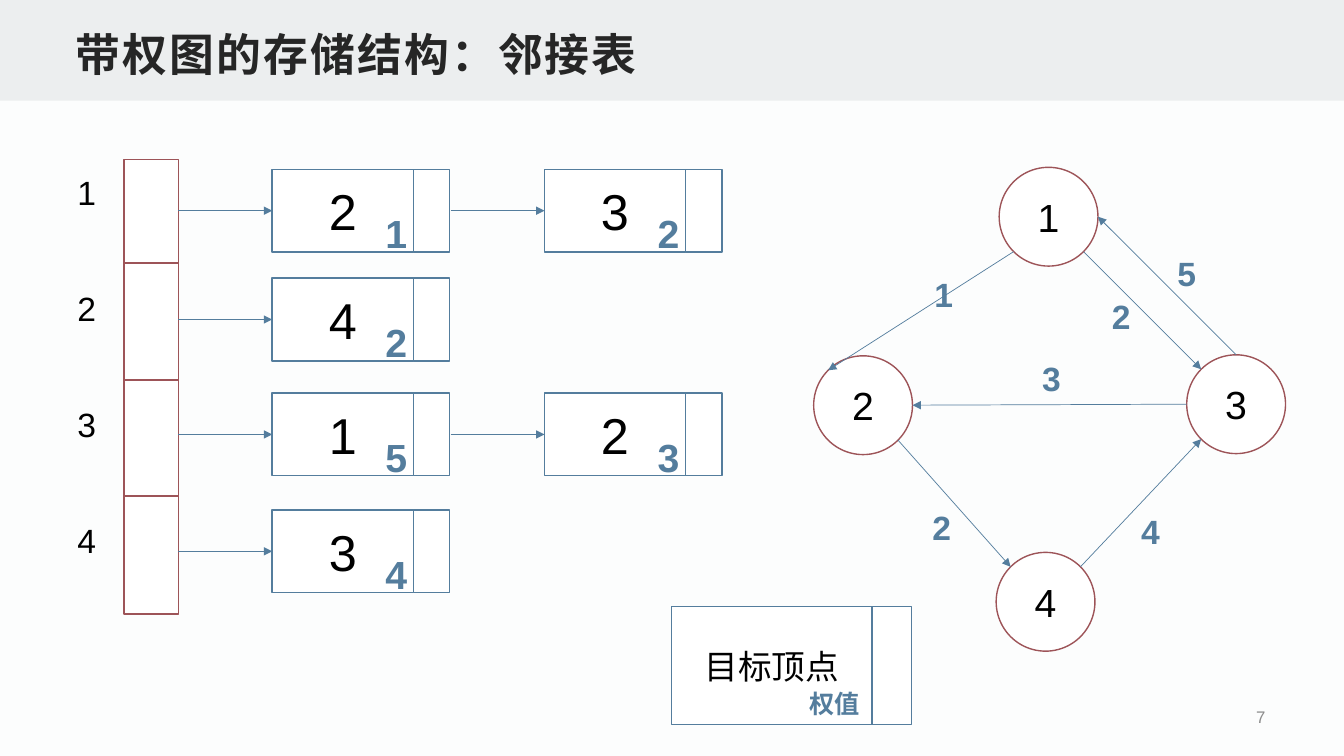
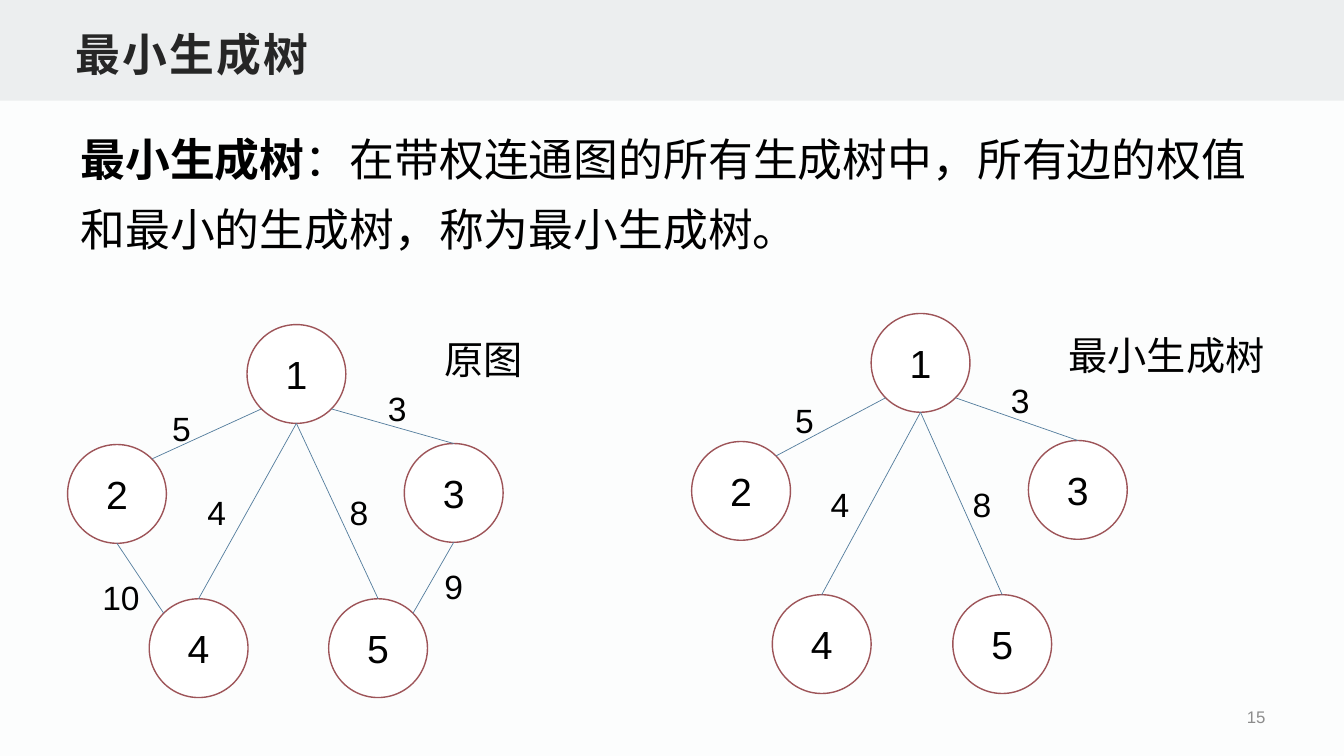
from math import cos, pi, sin
from typing import NamedTuple

from lxml import etree
from pptx import Presentation
from pptx.dml.color import RGBColor
from pptx.enum.shapes import MSO_CONNECTOR, MSO_SHAPE
from pptx.enum.text import MSO_ANCHOR, MSO_AUTO_SIZE, PP_ALIGN
from pptx.oxml.ns import qn
from pptx.shapes.autoshape import Shape
from pptx.slide import Slide
from pptx.util import Inches, Pt

COLORS = {
    "page": "FCFDFD",
    "band": "ECEEEF",
    "title": "262626",
    "number": "8C8C8C",
    "text": "000000",
    "white": "FFFFFF",
    "red": "9D5458",
    "blue": "547D9D",
}
FONT = "Arial"
NODE = 0.98
CELL_W, CELL_H, LINK_W = 1.4, 0.82, 0.36
CELL_X, CELL_STEP = 2.7, 2.7

# Connection sites of a circle, in eighths of a turn anticlockwise from the top
TOP, LEFT, SW, BOTTOM, SE, RIGHT, NE, NW = 0, 2, 3, 4, 5, 6, 7, 1


class Node(NamedTuple):
    x: float
    y: float


class Edge(NamedTuple):
    start: int
    out: int
    end: int
    into: int
    weight: str
    x: float  # centre of the weight
    y: float  # top of the weight


class Item(NamedTuple):
    target: str
    weight: str


class Row(NamedTuple):
    top: float
    items: list[Item]


ROWS = [
    Row(1.68, [Item("2", "1"), Item("3", "2")]),
    Row(2.76, [Item("4", "2")]),
    Row(3.9, [Item("1", "5"), Item("2", "3")]),
    Row(5.06, [Item("3", "4")]),
]
SLOTS = [1.58, 2.61, 3.77, 4.92, 6.09]

DIGRAPH = [Node(9.91, 1.66), Node(8.07, 3.53), Node(11.77, 3.52), Node(9.88, 5.48)]
ARCS = [
    Edge(1, SW, 2, NW, "1", 9.36, 2.67),
    Edge(1, SE, 3, NW, "2", 11.12, 2.89),
    Edge(4, NE, 3, SW, "4", 11.41, 5.02),
    Edge(3, LEFT, 2, RIGHT, "3", 10.43, 3.5),
    Edge(3, TOP, 1, RIGHT, "5", 11.77, 2.46),
    Edge(2, SE, 4, NW, "2", 9.34, 4.98),
]

FULL = [Node(2.45, 3.22), Node(0.67, 4.41), Node(4.01, 4.4),
        Node(1.48, 5.94), Node(3.26, 5.94)]
TREE = [Node(8.64, 3.11), Node(6.86, 4.38), Node(10.2, 4.37),
        Node(7.66, 5.9), Node(9.45, 5.9)]
LINKS = [
    Edge(1, SW, 2, NE, "5", 1.8, 4),
    Edge(1, SE, 3, TOP, "3", 3.94, 3.8),
    Edge(4, TOP, 1, BOTTOM, "4", 2.15, 4.83),
    Edge(1, BOTTOM, 5, TOP, "8", 3.56, 4.83),
]
EXTRA = [
    Edge(2, BOTTOM, 4, NW, "10", 1.2, 5.67),
    Edge(3, BOTTOM, 5, NE, "9", 4.5, 5.57),
]
TREE_LINKS = [e._replace(x=e.x + 6.18, y=e.y - 0.08) for e in LINKS]


def rgb(name: str) -> RGBColor:
    return RGBColor.from_string(COLORS[name])


def write(shape: Shape, text: str, size: float, color: str = "text",
          bold: bool = False, align: PP_ALIGN = PP_ALIGN.LEFT) -> None:
    frame = shape.text_frame
    frame.word_wrap = True
    frame.text = text
    para = frame.paragraphs[0]
    para.alignment = align
    for run in para.runs:
        run.font.name = FONT
        run.font.size = Pt(size)
        run.font.bold = bold
        run.font.color.rgb = rgb(color)


def add_text(slide: Slide, x: float, y: float, w: float, h: float, text: str,
             size: float, **style) -> Shape:
    box = slide.shapes.add_textbox(Inches(x), Inches(y), Inches(w), Inches(h))
    write(box, text, size, **style)
    return box


def add_label(slide: Slide, mid: float, y: float, text: str, size: float = 24,
              color: str = "text", bold: bool = False) -> None:
    """Put a short text centred on mid."""
    add_text(slide, mid - 0.4, y, 0.8, 0.5, text, size,
             color=color, bold=bold, align=PP_ALIGN.CENTER)


def add_form(slide: Slide, kind: MSO_SHAPE, x: float, y: float, w: float, h: float,
             line: str = "", fill: str = "white", text: str = "",
             size: float = 28) -> Shape:
    form = slide.shapes.add_shape(kind, Inches(x), Inches(y), Inches(w), Inches(h))
    form.shadow.inherit = False
    form.fill.solid()
    form.fill.fore_color.rgb = rgb(fill)
    if line:
        form.line.color.rgb = rgb(line)
        form.line.width = Pt(1)
    else:
        form.line.fill.background()
    if text:
        form.text_frame.vertical_anchor = MSO_ANCHOR.MIDDLE
        write(form, text, size, align=PP_ALIGN.CENTER)
    return form


def add_line(slide: Slide, start: tuple[float, float], end: tuple[float, float],
             arrow: bool = True) -> None:
    line = slide.shapes.add_connector(
        MSO_CONNECTOR.STRAIGHT, *(Inches(v) for v in (*start, *end)))
    line.line.color.rgb = rgb("blue")
    line.line.width = Pt(0.5)
    if arrow:
        tail = etree.SubElement(line.line._get_or_add_ln(), qn("a:tailEnd"))
        tail.set("type", "triangle")
    etree.SubElement(line._element.spPr, qn("a:effectLst"))


def site(node: Node, turn: int) -> tuple[float, float]:
    """Give the point on the rim of a node at a connection site."""
    angle, half = turn * pi / 4, NODE / 2
    return node.x + half - half * sin(angle), node.y + half - half * cos(angle)


def draw_graph(slide: Slide, nodes: list[Node], edges: list[Edge],
               arrow: bool = False) -> None:
    for num, node in enumerate(nodes, 1):
        add_form(slide, MSO_SHAPE.OVAL, node.x, node.y, NODE, NODE, "red", text=str(num))
    for edge in edges:
        add_line(slide, site(nodes[edge.start - 1], edge.out),
                 site(nodes[edge.end - 1], edge.into), arrow)
        add_label(slide, edge.x, edge.y, edge.weight,
                  color="blue" if arrow else "text", bold=arrow)


def draw_cell(slide: Slide, x: float, y: float, w: float, h: float, link: float,
              text: str, size: float) -> None:
    """Draw a list item: its body and the link field on its right."""
    add_form(slide, MSO_SHAPE.RECTANGLE, x, y, w, h, "blue", text=text, size=size)
    add_form(slide, MSO_SHAPE.RECTANGLE, x + w, y, link, h, "blue")


def draw_lists(slide: Slide) -> None:
    for num, (top, end) in enumerate(zip(SLOTS, SLOTS[1:])):
        add_form(slide, MSO_SHAPE.RECTANGLE, 1.23, top, 0.54, end - top, "red")
        add_label(slide, 0.86, 1.66 + 1.15 * num, str(num + 1))
    for row in ROWS:
        mid = row.top + CELL_H / 2
        for col, item in enumerate(row.items):
            x = CELL_X + CELL_STEP * col
            add_line(slide, (x - 0.93, mid), (x, mid))
            draw_cell(slide, x, row.top, CELL_W, CELL_H, LINK_W, item.target, 36)
            add_label(slide, x + 1.23, row.top + 0.35, item.weight, 28, "blue", True)


def add_page(deck: Presentation, title: str, number: str) -> Slide:
    slide = deck.slides.add_slide(deck.slide_layouts[5])
    slide.background.fill.solid()
    slide.background.fill.fore_color.rgb = rgb("page")
    band = add_form(slide, MSO_SHAPE.RECTANGLE, 0, 0, 13.33, 1, fill="band")
    slide.shapes._spTree.insert(2, band._element)

    head = slide.shapes.title
    head.left, head.top = Inches(0.67), Inches(0.17)
    head.width, head.height = Inches(12), Inches(0.67)
    write(head, title, 32, "title", True)
    frame = head.text_frame
    frame.auto_size = MSO_AUTO_SIZE.NONE
    frame.vertical_anchor = MSO_ANCHOR.BOTTOM
    frame.margin_left = frame.margin_right = Inches(0.08)
    frame.margin_top = frame.margin_bottom = Inches(0.04)
    frame.paragraphs[0].runs[0].font._element.set("spc", "150")

    foot = add_text(slide, 9.7, 6.94, 2.95, 0.35, number, 12,
                    color="number", align=PP_ALIGN.RIGHT)
    foot.text_frame.vertical_anchor = MSO_ANCHOR.MIDDLE
    return slide


def add_storage(deck: Presentation) -> None:
    slide = add_page(deck, "带权图的存储结构：邻接表", "7")
    draw_graph(slide, DIGRAPH, ARCS, arrow=True)
    draw_cell(slide, 6.66, 6.02, 1.99, 1.17, 0.39, "目标顶点", 24)
    add_label(slide, 8.28, 6.78, "权值", 18, "blue", True)
    draw_lists(slide)


def add_spanning(deck: Presentation) -> None:
    slide = add_page(deck, "最小生成树", "15")
    body = add_text(slide, 0.7, 1.1, 12, 1.5, "最小生成树", 32, bold=True)
    para = body.text_frame.paragraphs[0]
    para.line_spacing = 1.3
    rest = para.add_run()
    rest.text = "：在带权连通图的所有生成树中，所有边的权值和最小的生成树，称为最小生成树。"
    rest.font.name = FONT
    rest.font.size = Pt(32)
    rest.font.color.rgb = rgb("text")
    draw_graph(slide, FULL, LINKS + EXTRA)
    add_text(slide, 4.31, 3.28, 1.01, 0.57, "原图", 28)
    draw_graph(slide, TREE, TREE_LINKS)
    add_text(slide, 10.5, 3.24, 2.21, 0.57, "最小生成树", 28)


def main() -> None:
    deck = Presentation()
    deck.slide_width, deck.slide_height = Inches(13.33), Inches(7.5)
    add_storage(deck)
    add_spanning(deck)
    deck.save("out.pptx")


if __name__ == "__main__":
    main()
